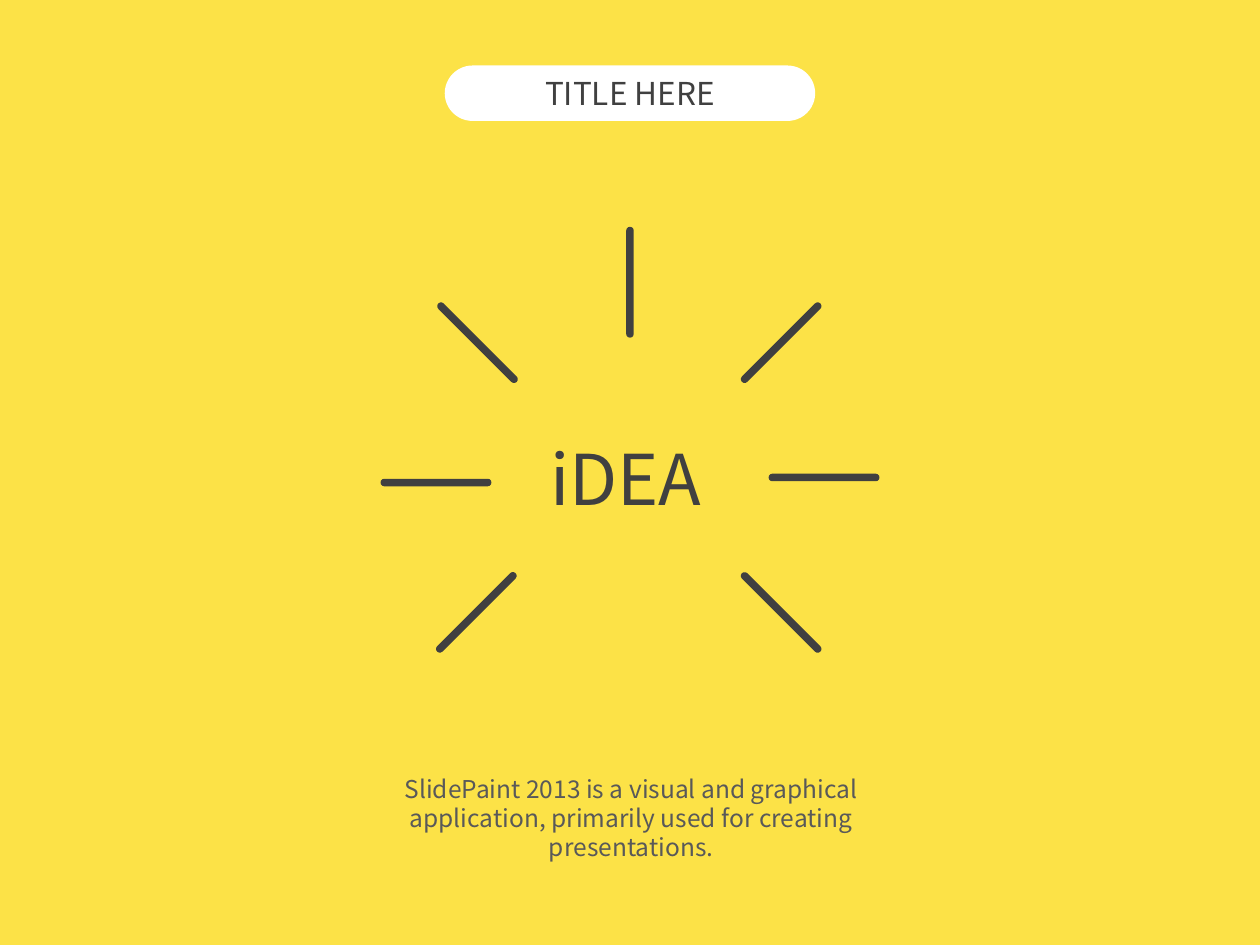
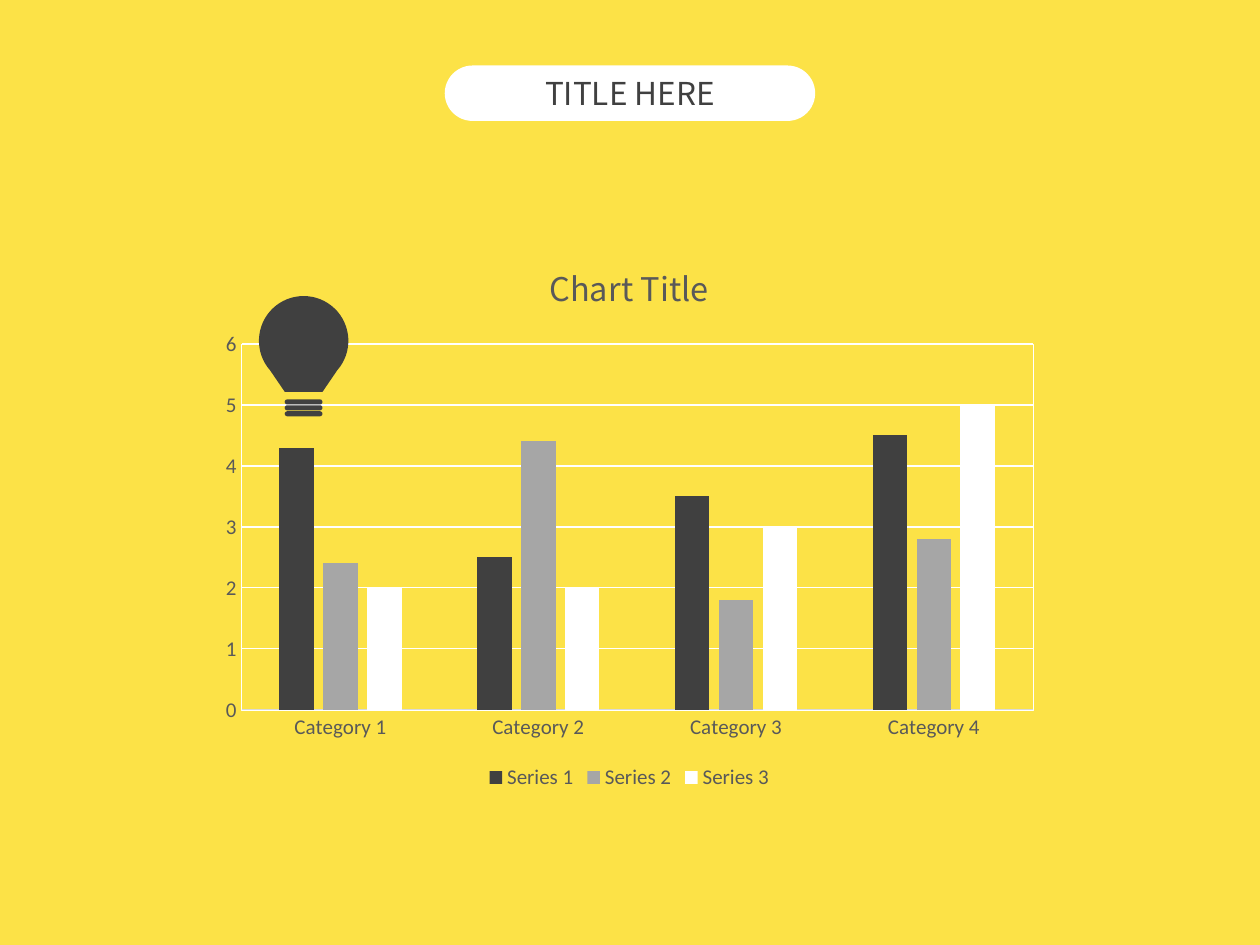
import math
from typing import NamedTuple

import pptx
import pptx.chart.data
import pptx.dml.color
import pptx.enum.chart
import pptx.enum.shapes
import pptx.enum.text
import pptx.oxml
import pptx.oxml.ns
import pptx.util

RGBColor = pptx.dml.color.RGBColor
YELLOW = RGBColor(0xFC, 0xE2, 0x47)
CHARCOAL = RGBColor(0x40, 0x40, 0x40)
SLATE = RGBColor(0x59, 0x59, 0x59)
SILVER = RGBColor(0xA6, 0xA6, 0xA6)
PALE = RGBColor(0xD9, 0xD9, 0xD9)
WHITE = RGBColor(0xFF, 0xFF, 0xFF)

HEADING_FONT = "Noto Sans CJK KR"
CHART_FONT = "Calibri"
WIDTH = pptx.util.Inches(10)
HEIGHT = pptx.util.Inches(7.5)
COLUMNS, ROWS = 100, 75


class Area(NamedTuple):
    left: float
    top: float
    width: float
    height: float

    def lengths(self) -> tuple[int, int, int, int]:
        return (col(self.left), row(self.top), col(self.width), row(self.height))


class Ray(NamedTuple):
    across: float
    down: float
    angle: float


class Label(NamedTuple):
    text: str
    size: float
    color: RGBColor


class Series(NamedTuple):
    name: str
    values: tuple[float, ...]
    color: RGBColor


TITLE_AREA = Area(35.3, 5.2, 29.4, 4.4)
TITLE = Label("TITLE HERE", 18, CHARCOAL)
BURST_CENTRE = (50, 37.9)
RAY_LENGTH, RAY_THICKNESS = 8.8, 0.6
RAYS = (
    Ray(-12.1, -10.7, 45),
    Ray(12, -10.7, 315),
    Ray(0, -15.5, 270),
    Ray(-15.4, 0.4, 0),
    Ray(15.4, 0, 0),
    Ray(12, 10.7, 225),
    Ray(-12.2, 10.7, 135),
)
IDEA_AREA = Area(40.8, 34.1, 17.7, 7.7)
SUMMARY_AREA = Area(26.7, 61.4, 46.8, 6.2)
CHART_AREA = Area(16.6, 18.7, 66.7, 44.4)
CATEGORIES = ("Category 1", "Category 2", "Category 3", "Category 4")
SERIES = (
    Series("Series 1", (4.3, 2.5, 3.5, 4.5), CHARCOAL),
    Series("Series 2", (2.4, 4.4, 1.8, 2.8), SILVER),
    Series("Series 3", (2, 2, 3, 5), WHITE),
)
BULB_X, BULB_Y, BULB_RADIUS = 24.1, 27.05, 3.55
BULB_BASE, BULB_NECK = 31.1, 1.5
SHOULDER_ANGLE = 41
CAP_TOP, CAP_PITCH, CAP_HEIGHT = 31.7, 0.47, 0.4


def col(count: float) -> int:
    return round(WIDTH * count / COLUMNS)


def row(count: float) -> int:
    return round(HEIGHT * count / ROWS)


def write(frame, label: Label) -> None:
    frame.word_wrap = True
    para = frame.paragraphs[0]
    para.alignment = pptx.enum.text.PP_ALIGN.CENTER
    span = para.add_run()
    span.text = label.text
    style_font(span.font, label.size, label.color, HEADING_FONT)


def style_font(font, size: float, color: RGBColor, name: str) -> None:
    font.size = pptx.util.Pt(size)
    font.bold = False
    font.name = name
    font.color.rgb = color


def paint(shape, color: RGBColor) -> None:
    shape.shadow.inherit = False
    shape.fill.solid()
    shape.fill.fore_color.rgb = color
    shape.line.fill.background()


def add_pill(shapes, area: Area, color: RGBColor, angle: float = 0):
    kind = pptx.enum.shapes.MSO_SHAPE.ROUNDED_RECTANGLE
    pill = shapes.add_shape(kind, *area.lengths())
    pill.adjustments[0] = 0.5
    pill.rotation = angle
    paint(pill, color)
    return pill


def add_text(page, area: Area, label: Label, inset: bool = True) -> None:
    box = page.shapes.add_textbox(*area.lengths())
    frame = box.text_frame
    write(frame, label)
    frame.auto_size = pptx.enum.text.MSO_AUTO_SIZE.SHAPE_TO_FIT_TEXT
    if not inset:
        frame.margin_left = frame.margin_right = 0
        frame.margin_top = frame.margin_bottom = 0


def add_page(deck):
    page = deck.slides.add_slide(deck.slide_layouts[6])
    page.background.fill.solid()
    page.background.fill.fore_color.rgb = YELLOW
    return page


def add_title(page) -> None:
    frame = add_pill(page.shapes, TITLE_AREA, WHITE).text_frame
    frame.vertical_anchor = pptx.enum.text.MSO_ANCHOR.MIDDLE
    write(frame, TITLE)


def add_burst(page) -> None:
    for ray in RAYS:
        left = BURST_CENTRE[0] + ray.across - RAY_LENGTH / 2
        top = BURST_CENTRE[1] + ray.down - RAY_THICKNESS / 2
        area = Area(left, top, RAY_LENGTH, RAY_THICKNESS)
        add_pill(page.shapes, area, CHARCOAL, ray.angle)


def outline_plot(chart, color: RGBColor) -> None:
    plot_area = chart.plots[0]._element.getparent()
    plot_area.append(pptx.oxml.parse_xml(
        f'<c:spPr {pptx.oxml.ns.nsdecls("c", "a")}><a:noFill/>'
        f'<a:ln w="3175"><a:solidFill><a:srgbClr val="{color}"/></a:solidFill></a:ln>'
        '</c:spPr>'
    ))


def add_column_chart(page) -> None:
    data = pptx.chart.data.CategoryChartData()
    data.categories = CATEGORIES
    for series in SERIES:
        data.add_series(series.name, series.values)
    kind = pptx.enum.chart.XL_CHART_TYPE.COLUMN_CLUSTERED
    chart = page.shapes.add_chart(kind, *CHART_AREA.lengths(), data).chart
    style_font(chart.font, 12, SLATE, CHART_FONT)

    chart.has_title = True
    span = chart.chart_title.text_frame.paragraphs[0].add_run()
    span.text = "Chart Title"
    style_font(span.font, 18.6, SLATE, HEADING_FONT)
    chart.chart_title.include_in_layout = False

    chart.has_legend = True
    chart.legend.position = pptx.enum.chart.XL_LEGEND_POSITION.BOTTOM
    chart.legend.include_in_layout = False
    style_font(chart.legend.font, 12, SLATE, CHART_FONT)

    plot = chart.plots[0]
    plot.vary_by_categories = False
    plot.gap_width = 219
    plot.overlap = -27
    for drawn, series in zip(plot.series, SERIES):
        drawn.invert_if_negative = False
        drawn.format.fill.solid()
        drawn.format.fill.fore_color.rgb = series.color

    for axis in (chart.category_axis, chart.value_axis):
        axis.major_tick_mark = pptx.enum.chart.XL_TICK_MARK.NONE
        axis.minor_tick_mark = pptx.enum.chart.XL_TICK_MARK.NONE
        style_font(axis.tick_labels.font, 12, SLATE, CHART_FONT)
    base = chart.category_axis.format.line
    base.color.rgb = PALE
    base.width = pptx.util.Pt(0.75)
    scale = chart.value_axis
    scale.minimum_scale, scale.maximum_scale, scale.major_unit = 0, 6, 1
    scale.format.line.fill.background()
    scale.has_major_gridlines = True
    scale.major_gridlines.format.line.color.rgb = WHITE
    scale.major_gridlines.format.line.width = pptx.util.Pt(0.75)
    outline_plot(chart, WHITE)


def add_bulb(page) -> None:
    group = page.shapes.add_group_shape()
    steps = 48
    sweep = 180 + 2 * SHOULDER_ANGLE
    angles = [math.radians(SHOULDER_ANGLE - sweep * step / steps) for step in range(steps + 1)]
    points = [
        (col(BULB_X + BULB_RADIUS * math.cos(angle)), row(BULB_Y + BULB_RADIUS * math.sin(angle)))
        for angle in angles
    ]
    points += [(col(BULB_X + side * BULB_NECK), row(BULB_BASE)) for side in (-1, 1)]
    builder = group.shapes.build_freeform(*points[0], scale=1.0)
    builder.add_line_segments(points[1:], close=True)
    paint(builder.convert_to_shape(), CHARCOAL)
    for index in range(3):
        top = CAP_TOP + index * CAP_PITCH
        area = Area(BULB_X - BULB_NECK, top, 2 * BULB_NECK, CAP_HEIGHT)
        add_pill(group.shapes, area, CHARCOAL)


def build_idea_page(deck) -> None:
    page = add_page(deck)
    add_burst(page)
    add_text(page, IDEA_AREA, Label("iDEA", 40, CHARCOAL))
    summary = (
        "SlidePaint 2013 is a visual and graphical application, "
        "primarily used for creating presentations."
    )
    add_text(page, SUMMARY_AREA, Label(summary, 14, SLATE), inset=False)
    add_title(page)


def build_chart_page(deck) -> None:
    page = add_page(deck)
    add_title(page)
    add_column_chart(page)
    add_bulb(page)


def main() -> None:
    deck = pptx.Presentation()
    deck.slide_width, deck.slide_height = WIDTH, HEIGHT
    build_idea_page(deck)
    build_chart_page(deck)
    deck.save("out.pptx")


main()
